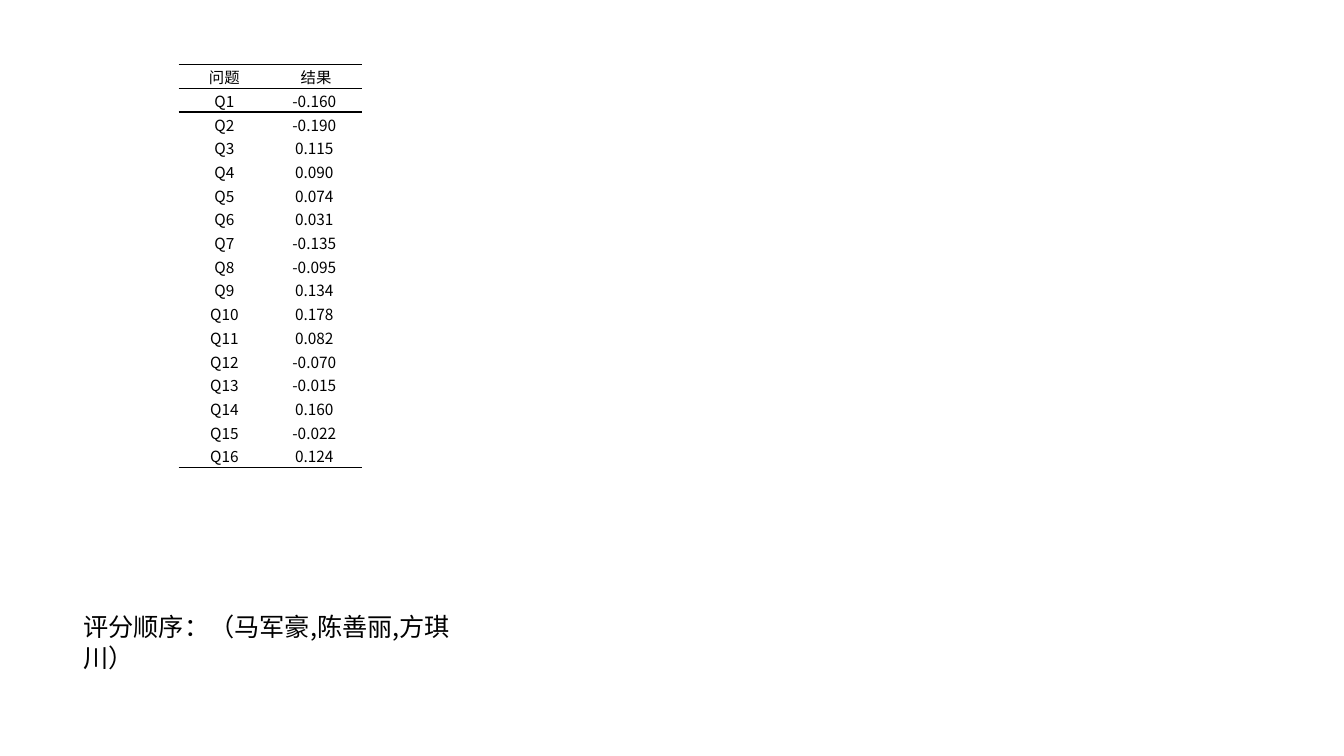
from lxml import etree
from pptx import Presentation
from pptx import util as u
from pptx.dml.color import RGBColor
from pptx.enum import text
from pptx.oxml import ns

FONT = "Noto Sans CJK SC"
BLACK = "000000"
HEADERS = ("问题", "结果")
RESULTS = (-0.160, -0.190, 0.115, 0.090, 0.074, 0.031, -0.135, -0.095,
           0.134, 0.178, 0.082, -0.070, -0.015, 0.160, -0.022, 0.124)


def colour(value):
    return RGBColor.from_string(value)


def write(frame, words, size):
    para = frame.paragraphs[0]
    span = para.add_run()
    span.text = words
    for name, value in {"name": FONT, "size": u.Pt(size)}.items():
        setattr(span.font, name, value)
    span.font.color.rgb = colour(BLACK)
    # East Asian glyphs take their font from a separate element
    etree.SubElement(span.font._element, ns.qn("a:ea"), typeface=FONT)
    return para


def set_borders(cell, ruled):
    """Rule the given sides in black and clear the others."""
    properties = cell._tc.get_or_add_tcPr()
    for side in "LRTB":
        line = etree.SubElement(properties, ns.qn(f"a:ln{side}"), w=str(u.Pt(1)))
        if side in ruled:
            fill = etree.SubElement(line, ns.qn("a:solidFill"))
            etree.SubElement(fill, ns.qn("a:srgbClr"), val=BLACK)
        else:
            etree.SubElement(line, ns.qn("a:noFill"))


def fill_cell(cell, words, ruled):
    set_borders(cell, ruled)
    cell.fill.background()
    layout = {"margin_left": u.Cm(0.02), "margin_right": u.Cm(0.02),
              "margin_top": u.Cm(0.02), "margin_bottom": 0,
              "vertical_anchor": text.MSO_ANCHOR.MIDDLE}
    for name, value in layout.items():
        setattr(cell, name, value)
    write(cell.text_frame, words, 11).alignment = text.PP_ALIGN.CENTER


def add_results(page):
    # The trailing space keeps the figures slightly left of centre
    rows = [HEADERS] + [(f"Q{number}", f"{value:.3f} ")
                        for number, value in enumerate(RESULTS, 1)]
    ruled = {0: "TB", 1: "TB", 2: "T", len(rows) - 1: "B"}
    table = page.shapes.add_table(len(rows), len(HEADERS), u.Cm(4.5), u.Cm(1.63),
                                  u.Cm(4.62), u.Cm(10.15)).table
    table.first_row = table.horz_banding = False
    for index, row in enumerate(rows):
        for column, words in enumerate(row):
            fill_cell(table.cell(index, column), words, ruled.get(index, ""))


def add_note(page, words):
    box = page.shapes.add_textbox(u.Cm(1.85), u.Cm(15.29), u.Cm(10.69), u.Cm(1.02))
    box.text_frame.word_wrap = True
    write(box.text_frame, words, 18)


def main():
    deck = Presentation()
    deck.slide_width, deck.slide_height = u.Cm(33.87), u.Cm(19.05)
    page = deck.slides.add_slide(deck.slide_layouts[6])
    # Table of results
    add_results(page)
    # Order of scoring
    add_note(page, "评分顺序：（马军豪,陈善丽,方琪川）")
    deck.save("out.pptx")


if __name__ == "__main__":
    main()
